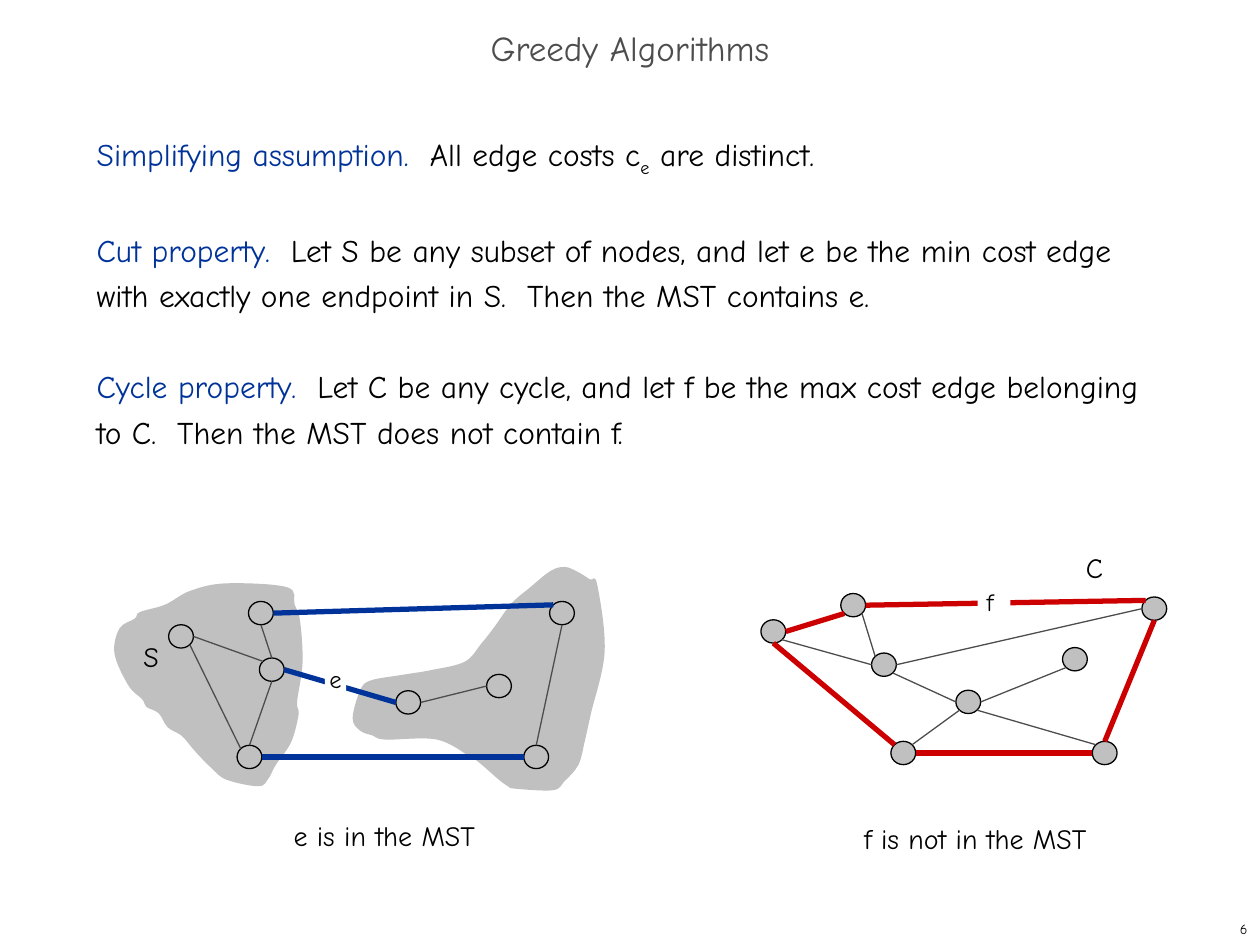
import math
from lxml import etree
from pptx import Presentation
from pptx import util as u
from pptx.dml.color import RGBColor
from pptx.enum import shapes, text
from pptx.oxml.ns import qn

Cm, Pt = u.Cm, u.Pt
FACE = "Comic Neue"
THEME = {
    "ink": RGBColor(0, 0, 0), "gray": RGBColor(0x4D, 0x4D, 0x4D),
    "blue": RGBColor(0, 0x33, 0x99), "red": RGBColor(0xCC, 0, 0),
    "node": RGBColor(0xC0, 0xC0, 0xC0), "white": RGBColor(255, 255, 255),
    "title": 20, "body": 18, "label": 16, "edge": 14, "page": 8,
    "thin": 0.75, "bold": 3,
}
ALIGN, ANCHOR = text.PP_ALIGN, text.MSO_ANCHOR
NODE = (0.5, 0.47)
# Compass points of a node, in degrees clockwise from east
SITES = {s: 45 * k for k, s in enumerate("E SE S SW W NW N NE".split())}

# Each edge reads: node, side, node, side
CUT = {
    "nodes": {"a": (1.65, 1.83), "b": (3.26, 1.36), "c": (3.48, 2.5),
              "d": (3.03, 4.26), "g": (6.23, 3.16), "h": (8.06, 2.83),
              "i": (9.33, 1.36), "j": (8.81, 4.26)},
    "bold": ["d E j W", "b E i NW", "c E g W"],
    "thin": ["a E c NW", "a SE d NW", "b S c N", "c S d N", "i S j N",
             "h W g E"],
    "hue": "blue",
    "tag": ("e", 4.55, 2.39, 0.43, 0.58),
    "notes": [("S", 0.64, 1.77, 0.81), ("e is in the MST", 3.67, 5.38, 4.17)],
    "blobs": [
        [(9.38, 0.43), (9.63, 0.52), (9.89, 0.68), (10.04, 0.79),
         (10.19, 2.13), (9.91, 3.4), (9.79, 3.94), (9.66, 4.42), (9.38, 4.75),
         (9.15, 4.93), (8.39, 4.9), (8.24, 4.85), (8.06, 4.72), (7.68, 4.39),
         (7.5, 4.27), (6.81, 3.91), (5.77, 3.91), (5.52, 3.83), (5.26, 3.73),
         (5.11, 3.48), (5.26, 2.92), (5.47, 2.72), (6.08, 2.61), (6.69, 2.51),
         (7.37, 2.34), (7.7, 1.98), (7.96, 1.65), (8.31, 1.17), (8.69, 0.84),
         (9.1, 0.51)],
        [(0.82, 1.34), (1.33, 1.19), (1.84, 0.91), (2.57, 0.76),
         (3.79, 0.84), (3.94, 1.19), (4.05, 1.52), (4.1, 2.36), (3.99, 3.15),
         (4.02, 3.4), (3.87, 3.96), (3.56, 4.42), (3.41, 4.7), (3.21, 4.85),
         (2.57, 4.72), (2.27, 4.49), (1.99, 4.21), (1.86, 4.06),
         (1.66, 3.83), (1.38, 3.66), (1.2, 3.38), (0.95, 3.25), (0.87, 3.1),
         (0.59, 2.82), (0.31, 2.18), (0.41, 1.67), (0.72, 1.47)],
    ],
}
CYCLE = {
    "nodes": {"a": (0.59, 1.73), "b": (2.2, 1.2), "c": (2.82, 2.4),
              "d": (3.21, 4.18), "g": (4.52, 3.15), "h": (6.67, 2.29),
              "i": (8.27, 1.27), "j": (7.27, 4.18)},
    "bold": ["a E b SW", "d NW a S", "i S j N", "j W d E", "b E i NW"],
    "thin": ["b SE c NW", "i W c E", "g W c SE", "g SW d NE", "j NW g SE",
             "h SW g E", "c W a SE"],
    "hue": "red",
    "tag": ("f ", 4.71, 0.84, 0.66, 0.58),
    "notes": [("C", 6.64, -0.03, 0.86),
              ("f is not in the MST", 2.17, 5.43, 5)],
    "blobs": [],
}
BODY = [
    ("Simplifying assumption.  ", "All edge costs c", "e", " are distinct."),
    ("Cut property.  ", "Let S be any subset of nodes, and let e be the min "
     "cost edge with exactly one endpoint in S.  Then the MST contains e."),
    ("Cycle property.  ", "Let C be any cycle, and let f be the max cost edge "
     "belonging to C.  Then the MST does not contain f."),
]


def put(item, **values):
    for name, value in values.items():
        setattr(item, name, value)


def write(para, words, size, hue="ink"):
    run = para.add_run()
    run.text = words
    put(run.font, name=FACE, size=Pt(THEME[size]))
    run.font.color.rgb = THEME[hue]
    return run


def paint(shape, hue, edge=None):
    shape.shadow.inherit = False
    shape.fill.solid()
    shape.fill.fore_color.rgb = THEME[hue]
    if edge:
        shape.line.color.rgb = THEME[edge]
        shape.line.width = Pt(THEME["thin"])
    else:
        shape.line.fill.background()


def note(slide, box, words, size="label", align=ALIGN.LEFT, anchor=ANCHOR.TOP):
    frame = slide.shapes.add_textbox(*map(Cm, box)).text_frame
    put(frame, word_wrap=False, vertical_anchor=anchor)
    frame.paragraphs[0].alignment = align
    write(frame.paragraphs[0], words, size)


def head(slide, box, words):
    shape = slide.shapes.title
    put(shape, **dict(zip(("left", "top", "width", "height"), map(Cm, box))))
    shape.text_frame.vertical_anchor = ANCHOR.MIDDLE
    para = shape.text_frame.paragraphs[0]
    put(para, alignment=ALIGN.CENTER, line_spacing=0.7)
    write(para, words, "title", "gray")


def body(slide, box):
    frame = slide.shapes.add_textbox(*map(Cm, box)).text_frame
    frame.word_wrap = True
    for k, (term, *rest) in enumerate(BODY):
        para = frame.add_paragraph() if k else frame.paragraphs[0]
        put(para, line_spacing=Pt(26), space_before=Pt(26 if k else 0))
        write(para, term, "body", "blue")
        for words in rest:
            run = write(para, words, "body")
            if words == "e":
                run.font._rPr.set("baseline", "-25000")


def bend(shape):
    """Turn the straight sides of a closed outline into smooth curves."""
    root = shape._element
    dots = [(int(p.get("x")), int(p.get("y"))) for p in root.iter(qn("a:pt"))]
    dots.pop()
    size = len(dots)
    for k, side in enumerate(list(root.iter(qn("a:lnTo")))):
        a, b, c, d = (dots[(k + n) % size] for n in (-1, 0, 1, 2))
        near = [q + (r - p) / 6 for p, q, r in zip(a, b, c)]
        far = [q - (r - p) / 6 for p, q, r in zip(b, c, d)]
        curve = etree.Element(qn("a:cubicBezTo"))
        for x, y in (near, far, c):
            etree.SubElement(curve, qn("a:pt"), x=str(round(x)),
                             y=str(round(y)))
        side.getparent().replace(side, curve)


def graph(slide, left, top, data):
    tree = slide.shapes

    def spot(x, y):
        return Cm(left + x), Cm(top + y)

    def site(name, side):
        turn = math.radians(SITES[side])
        x, y = data["nodes"][name]
        return spot(x + NODE[0] / 2 * math.cos(turn),
                    y + NODE[1] / 2 * math.sin(turn))

    for blob in data["blobs"]:
        first, *rest = [spot(*dot) for dot in blob]
        pen = tree.build_freeform(*first)
        pen.add_line_segments(rest + [first], close=True)
        shape = pen.convert_to_shape()
        bend(shape)
        paint(shape, "node")
    for x, y in data["nodes"].values():
        disc = tree.add_shape(shapes.MSO_SHAPE.OVAL,
                              *spot(x - NODE[0] / 2, y - NODE[1] / 2),
                              *map(Cm, NODE))
        paint(disc, "node", "ink")
    for kind, hue in (("bold", data["hue"]), ("thin", "gray")):
        for edge in data[kind]:
            start, out, end, into = edge.split()
            line = tree.add_connector(shapes.MSO_CONNECTOR.STRAIGHT,
                                      *site(start, out), *site(end, into))
            line.line.color.rgb = THEME[hue]
            line.line.width = Pt(THEME[kind])
            etree.SubElement(line._element.spPr, qn("a:effectLst"))

    words, x, y, wide, high = data["tag"]
    tag = tree.add_shape(shapes.MSO_SHAPE.RECTANGLE, *spot(x, y),
                         Cm(wide), Cm(high))
    paint(tag, "white")
    put(tag.text_frame, margin_left=0, margin_right=0, margin_top=0,
        margin_bottom=0, vertical_anchor=ANCHOR.TOP)
    para = tag.text_frame.paragraphs[0]
    para.alignment = ALIGN.CENTER
    write(para, words, "edge")
    for words, x, y, wide in data["notes"]:
        note(slide, (left + x, top + y, wide, 0.94), words)


def main():
    deck = Presentation()
    put(deck, slide_width=Cm(25.4), slide_height=Cm(19.05))
    slide = deck.slides.add_slide(deck.slide_layouts[5])
    head(slide, (0, 0.43, 25.4, 1.27), "Greedy Algorithms")
    body(slide, (1.7, 2.54, 21.8, 15.04))
    graph(slide, 2, 11, CUT)
    graph(slide, 15, 11, CYCLE)
    note(slide, (20.12, 18.42, 5.28, 0.63), "6", "page", ALIGN.RIGHT,
         ANCHOR.MIDDLE)
    deck.save("out.pptx")


if __name__ == "__main__":
    main()
